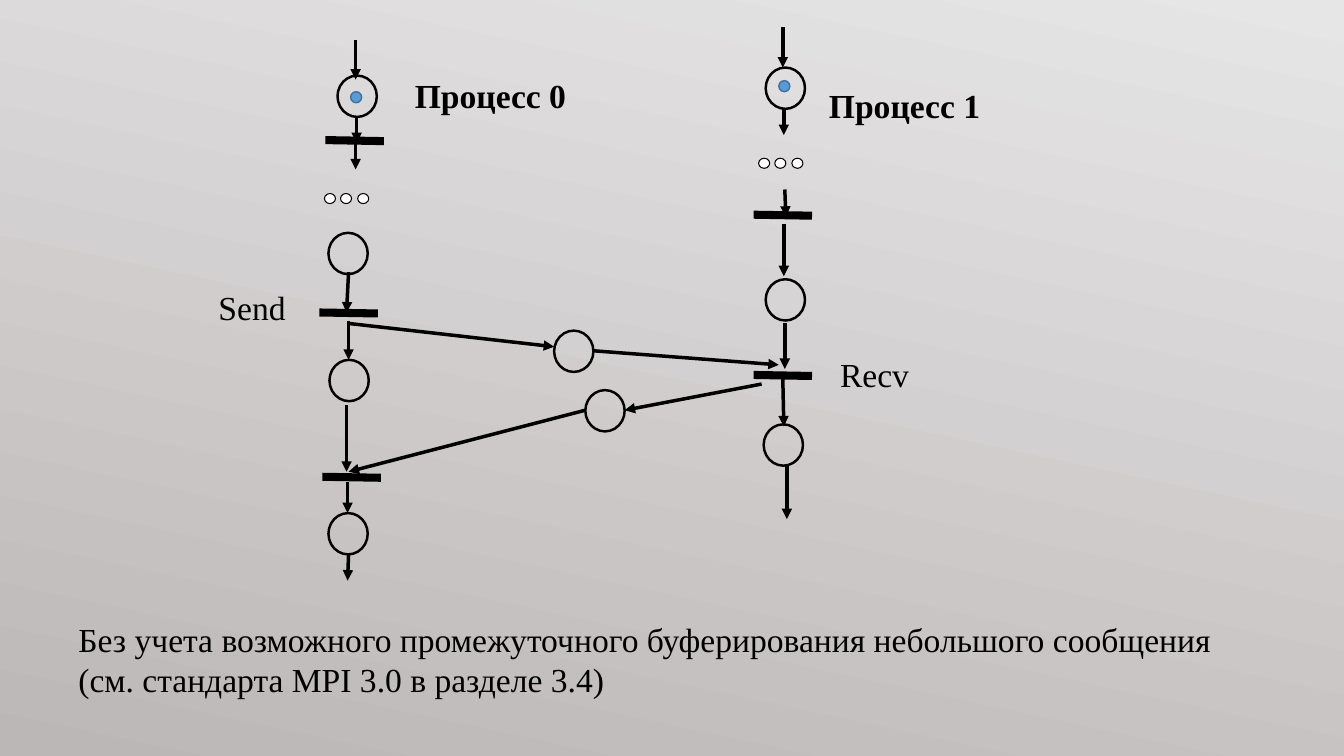
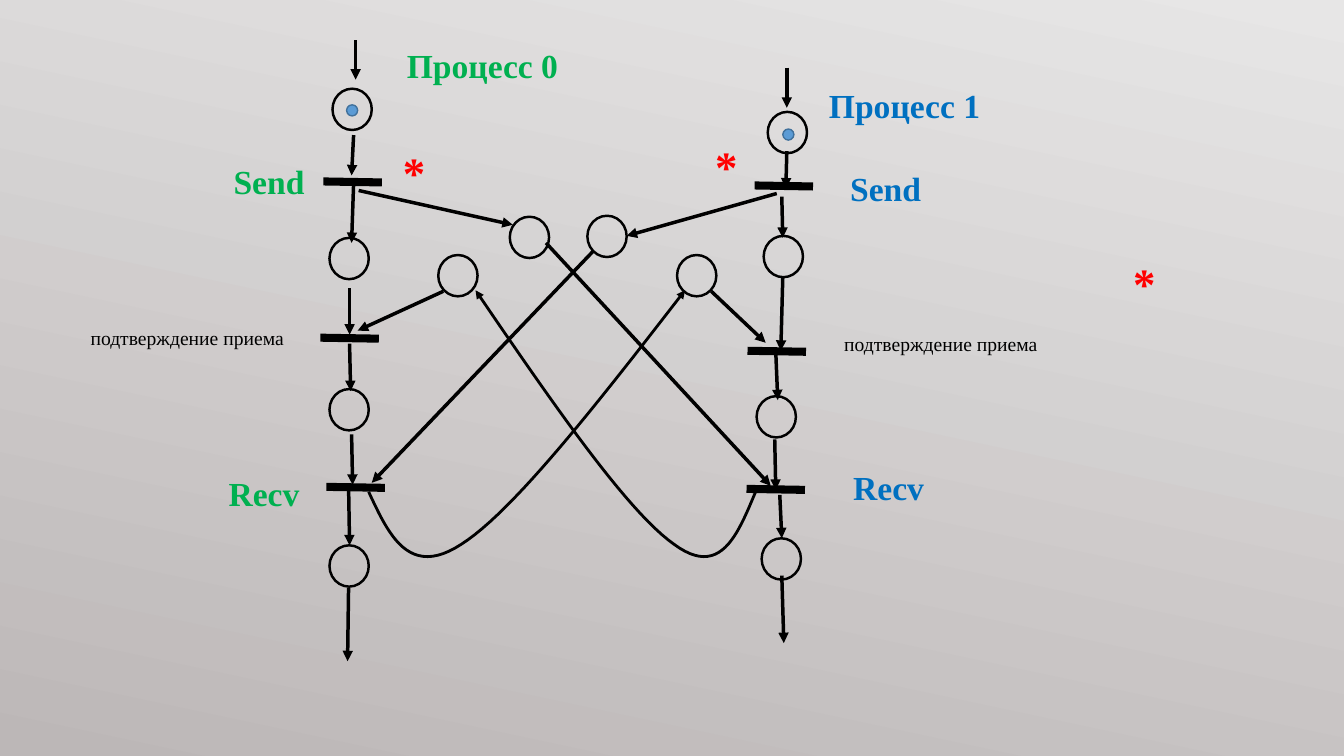
import pptx
import pptx.util
import pptx.oxml
import pptx.oxml.ns
import pptx.dml.color
import pptx.enum.shapes
import pptx.enum.text

Pt = pptx.util.Pt
qn = pptx.oxml.ns.qn
OVAL = pptx.enum.shapes.MSO_SHAPE.OVAL
STRAIGHT = pptx.enum.shapes.MSO_CONNECTOR.STRAIGHT
PX = 9144  # EMU in one px, 100 px to the inch

HUES = {"ink": "000000", "white": "FFFFFF", "token": "5B9BD5", "rim": "41719C",
        "green": "00B050", "blue": "0070C0", "red": "FF0000",
        "light": "E7E6E6", "dark": "BCB7B7"}
RGB = {name: pptx.dml.color.RGBColor.from_string(hue) for name, hue in HUES.items()}

# Text formats
FACE = {"name": "Times New Roman"}
FONTS = {"plain": {**FACE, "size": Pt(24), "bold": False},
         "bold": {**FACE, "size": Pt(24), "bold": True},
         "small": {**FACE, "size": Pt(14), "bold": False},
         "star": {**FACE, "size": Pt(32), "bold": True}}

# Rounds: width, height, fill, line colour, line width
ROUNDS = {"place": (39, 41, None, "ink", 1.75),
          "token": (11, 11, "token", "rim", 1),
          "dot": (11, 10, "white", "ink", 0)}
BAR = 58   # length of a transition bar
STEP = 33  # two steps between the dots of an ellipsis

# Slide data: corners of rounds, left ends of bars, ends of arrows
FIRST = {
    "place": [(335, 75), (581, 387), (327, 357), (326, 509), (760, 67),
              (758, 421), (550, 328), (760, 277), (326, 231)],
    "token": [(773, 80), (348, 91)],
    "dot": [(x + i * STEP // 2, y) for x, y in [(322, 192), (753, 157)] for i in range(3)],
    "bars": [(317, 310), (320, 473), (748, 372), (748, 213), (323, 139)],
    "arrows": [
        # Process 0
        (353, 40, 353, 79), (354, 115, 354, 142), (353, 141, 353, 168),
        (346, 270, 344, 310), (346, 318, 346, 357), (344, 402, 344, 468),
        (345, 478, 345, 509), (346, 550, 345, 576),
        # Process 1
        (777, 27, 777, 67), (778, 108, 778, 134), (779, 188, 780, 215),
        (778, 222, 778, 274), (779, 320, 779, 366), (777, 375, 778, 423),
        (781, 462, 781, 515),
        # Messages
        (347, 321, 550, 344), (589, 348, 773, 362),
        (756, 381, 620, 407), (581, 407, 346, 468)],
    "curves": [],
    "texts": [
        (207, 280, 119, 50, "plain", "ink", "Send"),
        (824, 346, 119, 50, "plain", "ink", "Recv"),
        (402, 69, 183, 50, "bold", "ink", "Процесс 0"),
        (813, 79, 193, 50, "bold", "ink", "Процесс 1"),
        (68, 609, 1228, 90, "plain", "ink",
         "Без учета возможного промежуточного буферирования небольшого сообщения\n"
         "(см. стандарта MPI 3.0 в разделе 3.4)")],
}
SECOND = {
    "place": [(330, 88), (583, 214), (327, 236), (758, 234), (327, 541), (762, 111),
              (756, 534), (327, 386), (506, 215), (751, 393), (672, 253), (435, 253)],
    "token": [(777, 128), (344, 104)],
    "dot": [],
    "bars": [(321, 180), (749, 184), (324, 483), (741, 485), (318, 335), (742, 348)],
    "arrows": [
        # Process 0
        (353, 40, 353, 79), (351, 134, 349, 174), (351, 182, 349, 241),
        (347, 286, 347, 332), (347, 341, 348, 388), (349, 431, 350, 481),
        (346, 482, 347, 541), (346, 583, 345, 656),
        # Process 1
        (781, 67, 781, 107), (781, 150, 780, 187), (776, 195, 777, 236),
        (777, 275, 775, 348), (770, 349, 772, 397), (769, 436, 770, 486),
        (774, 491, 776, 534), (776, 571, 778, 638),
        # Messages
        (356, 189, 509, 223), (771, 192, 622, 234), (542, 241, 765, 482),
        (589, 249, 369, 479), (706, 289, 760, 340), (440, 289, 355, 328)],
    # Two cubic arcs each, seven control points
    "curves": [
        [(366, 488), (386, 531), (406, 574), (458, 540), (510, 507), (595, 398), (680, 288)],
        [(750, 488), (732, 531), (715, 574), (669, 540), (622, 507), (547, 398), (472, 288)]],
    "texts": [
        (834, 162, 119, 50, "bold", "blue", "Send"),
        (837, 458, 120, 50, "bold", "blue", "Recv"),
        (394, 40, 189, 50, "bold", "green", "Процесс 0"),
        (813, 79, 206, 50, "bold", "blue", "Процесс 1"),
        (222, 155, 119, 50, "bold", "green", "Send"),
        (217, 464, 120, 50, "bold", "green", "Recv"),
        (80, 318, 228, 34, "small", "ink", "подтверждение приема"),
        (828, 324, 228, 34, "small", "ink", "подтверждение приема"),
        (1115, 249, 37, 64, "star", "red", "*"),
        (700, 133, 37, 64, "star", "red", "*"),
        (390, 139, 37, 64, "star", "red", "*")],
}


def stroke(shape, width, hue="ink", head=False):
    """Set the outline, with an arrowhead at its end if asked."""
    shape.line.color.rgb = RGB[hue]
    shape.line.width = Pt(width)
    if head:
        line = shape.element.spPr.find(qn("a:ln"))
        pptx.oxml.ns.qn and line.append(line.makeelement(qn("a:tailEnd"), {"type": "triangle"}))


def link(slide, ends, width, head):
    """Draw a straight line without a shadow."""
    wire = slide.shapes.add_connector(STRAIGHT, *[n * PX for n in ends])
    stroke(wire, width, head=head)
    props = wire.element.spPr
    props.append(props.makeelement(qn("a:effectLst"), {}))


deck = pptx.Presentation()
deck.slide_width, deck.slide_height = 1334 * PX, 750 * PX

# Shared background
back = deck.slide_master.background.fill
back.gradient()
back.gradient_angle = 258
for stop, hue in zip(back.gradient_stops, ("light", "dark")):
    stop.color.rgb = RGB[hue]

for data in (FIRST, SECOND):
    slide = deck.slides.add_slide(deck.slide_layouts[6])

    # Places, tokens and dots
    for kind, (w, h, fill, hue, width) in ROUNDS.items():
        for x, y in data[kind]:
            disc = slide.shapes.add_shape(OVAL, x * PX, y * PX, w * PX, h * PX)
            disc.shadow.inherit = False
            if fill:
                disc.fill.solid()
                disc.fill.fore_color.rgb = RGB[fill]
            else:
                disc.fill.background()
            stroke(disc, width, hue)

    # Transition bars and arrows
    for x, y in data["bars"]:
        link(slide, (x, y, x + BAR, y + 1), 5.75, False)
    for ends in data["arrows"]:
        link(slide, ends, 2.5, True)

    # Curved arrows, sampled along each cubic arc
    for knots in data["curves"]:
        trail = []
        for k in (0, 3):
            a, b, c, d = knots[k:k + 4]
            for i in range(1, 25):
                t = i / 24
                u = 1 - t
                trail.append([round(PX * (u**3 * a[n] + 3 * u*u*t * b[n]
                                          + 3 * u*t*t * c[n] + t**3 * d[n]))
                              for n in (0, 1)])
        x, y = knots[0]
        pen = slide.shapes.build_freeform(x * PX, y * PX)
        pen.add_line_segments(trail, close=False)
        curve = pen.convert_to_shape()
        curve.shadow.inherit = False
        curve.fill.background()
        stroke(curve, 2, head=True)

    # Labels
    for x, y, w, h, font, hue, words in data["texts"]:
        frame = slide.shapes.add_textbox(x * PX, y * PX, w * PX, h * PX).text_frame
        frame.word_wrap = True
        frame.auto_size = pptx.enum.text.MSO_AUTO_SIZE.SHAPE_TO_FIT_TEXT
        frame.text = words
        for para in frame.paragraphs:
            for run in para.runs:
                run.font.color.rgb = RGB[hue]
                for key, value in FONTS[font].items():
                    setattr(run.font, key, value)

deck.save("out.pptx")
